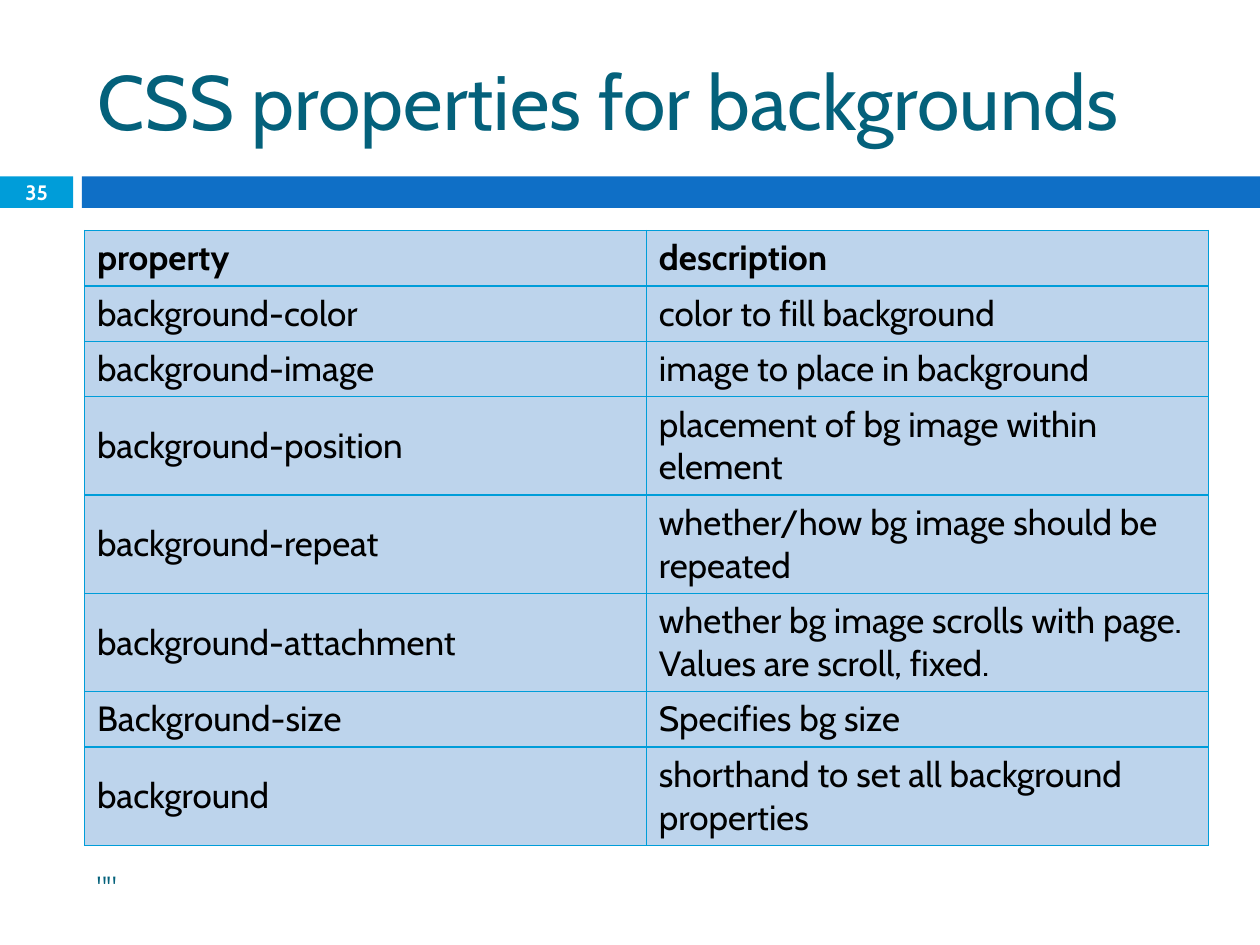
from lxml import etree
from pptx import Presentation
from pptx import util as u
from pptx.dml.color import RGBColor
from pptx.enum import shapes, text
from pptx.oxml.ns import qn

TEAL = RGBColor(0x04, 0x61, 0x7B)
CYAN = RGBColor(0x00, 0x9D, 0xD9)
BLUE = RGBColor(0x0F, 0x6F, 0xC6)
PALE = RGBColor(0xBD, 0xD4, 0xEC)
BLACK = RGBColor(0, 0, 0)
WHITE = RGBColor(0xFF, 0xFF, 0xFF)

ROWS = [
    ("property ", "description "),
    ("background-color ", "color to fill background "),
    ("background-image ", "image to place in background "),
    ("background-position ", "placement of bg image within element "),
    ("background-repeat ", "whether/how bg image should be repeated "),
    ("background-attachment ",
     "whether bg image scrolls with page. Values are scroll, fixed. "),
    ("Background-size", "Specifies bg size "),
    ("background ", "shorthand to set all background properties "),
]
LINE_HEIGHT, TALL_HEIGHT, LINE_LENGTH = 0.44, 0.78, 32


class SlideBuilder:
    """Holds the text style and the current slide, and adds elements to it."""

    def __init__(self, presentation, font="Cabin"):
        self.font = font
        self.slide = presentation.slides.add_slide(presentation.slide_layouts[5])

    def add_words(self, frame, words, size, color, bold=False,
                  align=text.PP_ALIGN.LEFT):
        frame.word_wrap = True
        paragraph = frame.paragraphs[0]
        paragraph.alignment = align
        run = paragraph.add_run()
        run.text = words
        run.font.name = self.font
        run.font.size = u.Pt(size)
        run.font.bold = bold
        run.font.color.rgb = color

    def title(self, box, words):
        shape = self.slide.shapes.title
        shape.left, shape.top, shape.width, shape.height = map(u.Inches, box)
        frame = shape.text_frame
        frame.auto_size = text.MSO_AUTO_SIZE.NONE
        frame.vertical_anchor = text.MSO_ANCHOR.MIDDLE
        self.add_words(frame, words, 44, TEAL)

    def bar(self, box, color):
        shape = self.slide.shapes.add_shape(
            shapes.MSO_SHAPE.RECTANGLE, *map(u.Inches, box))
        shape.shadow.inherit = False
        shape.fill.solid()
        shape.fill.fore_color.rgb = color
        shape.line.fill.background()

    def label(self, box, words, size, color, **style):
        frame = self.slide.shapes.add_textbox(*map(u.Inches, box)).text_frame
        frame.vertical_anchor = text.MSO_ANCHOR.MIDDLE
        self.add_words(frame, words, size, color, **style)

    def border(self, cell, color, width):
        properties = cell._tc.get_or_add_tcPr()
        for index, side in enumerate(("a:lnL", "a:lnR", "a:lnT", "a:lnB")):
            line = etree.Element(qn(side), w=str(u.Pt(width)))
            fill = etree.SubElement(line, qn("a:solidFill"))
            etree.SubElement(fill, qn("a:srgbClr"), val=str(color))
            properties.insert(index, line)

    def table(self, box, rows):
        table = self.slide.shapes.add_table(
            len(rows), len(rows[0]), *map(u.Inches, box)).table
        for index, words in enumerate(rows):
            tall = len(words[-1]) > LINE_LENGTH
            table.rows[index].height = u.Inches(TALL_HEIGHT if tall else LINE_HEIGHT)
            for column, value in enumerate(words):
                cell = table.cell(index, column)
                cell.fill.solid()
                cell.fill.fore_color.rgb = PALE
                cell.vertical_anchor = text.MSO_ANCHOR.MIDDLE
                self.add_words(cell.text_frame, value, 20, BLACK, bold=index == 0)
                self.border(cell, CYAN, 0.79)


presentation = Presentation()
presentation.slide_width, presentation.slide_height = u.Inches(10), u.Inches(7.5)
builder = SlideBuilder(presentation)
builder.bar((0, 1.4, 0.58, 0.25), CYAN)
builder.bar((0.65, 1.4, 9.35, 0.25), BLUE)
builder.title((0.67, 0.25, 8.92, 1.08), "CSS properties for backgrounds")
builder.table((0.67, 1.83, 8.92, 4.88), ROWS)
builder.label((0.67, 6.83, 5.93, 0.4), '""', 14, TEAL)
builder.label((0, 1.39, 0.58, 0.27), "35", 11.9, WHITE, bold=True,
              align=text.PP_ALIGN.CENTER)
presentation.save("out.pptx")
